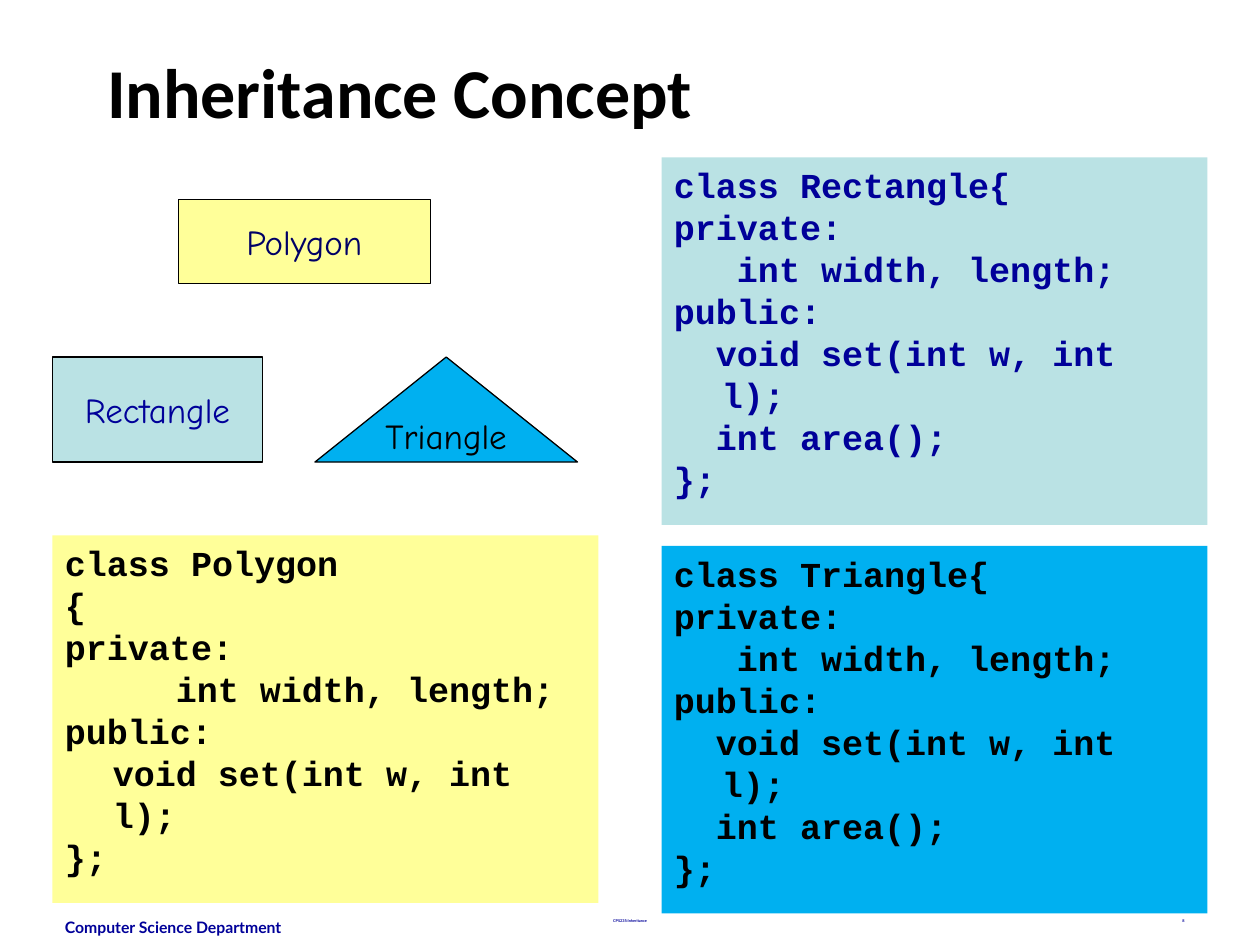
"""Build the Inheritance Concept slide on a grid of 120 columns by 90 rows."""
from dataclasses import dataclass

from pptx import Presentation
from pptx.dml.color import RGBColor
from pptx.enum.shapes import MSO_SHAPE
from pptx.enum.text import MSO_ANCHOR, MSO_AUTO_SIZE, PP_ALIGN
from pptx.util import Inches, Pt

RECTANGLE, TRIANGLE = MSO_SHAPE.RECTANGLE, MSO_SHAPE.ISOSCELES_TRIANGLE
TOP, MIDDLE = MSO_ANCHOR.TOP, MSO_ANCHOR.MIDDLE
LEFT, CENTER, RIGHT = PP_ALIGN.LEFT, PP_ALIGN.CENTER, PP_ALIGN.RIGHT
NO_AUTOFIT = MSO_AUTO_SIZE.NONE

COLUMNS, ROWS = 120, 90
WIDTH, HEIGHT = Inches(10), Inches(7.5)
TITLE_ONLY = 5
HANGING = Inches(0.38)
COLORS = {
    "black": "000000", "blue": "000099", "navy": "000066",
    "yellow": "FFFF99", "teal": "BAE2E4", "sky": "00B0F0",
}


@dataclass(frozen=True)
class Area:
    column: float
    row: float
    columns: float
    rows: float


@dataclass(frozen=True)
class Style:
    font: str
    size: float
    color: str
    bold: bool = True
    align: PP_ALIGN = LEFT
    spacing: float = 1.0


@dataclass(frozen=True)
class Figure:
    name: str
    kind: MSO_SHAPE
    area: Area
    fill: str
    color: str


@dataclass(frozen=True)
class Listing:
    area: Area
    fill: str
    color: str
    lines: tuple[str, ...]


@dataclass(frozen=True)
class Footer:
    text: str
    area: Area
    style: Style


def class_lines(name: str) -> tuple[str, ...]:
    """Return the code of a derived shape class."""
    return (f"class {name}{{", "private:", "   int width, length;", "public:",
            "  void set(int w, int l);", "  int area();", "};")


POLYGON_LINES = ("class Polygon", "{", "private:", "\t   int width, length;",
                 "public:", "\tvoid set(int w, int l);", "};")
TITLE_AREA = Area(9, 4, 102, 9)
TITLE_STYLE = Style("Calibri", 40, "black")
FIGURES = (
    Figure("Rectangle", RECTANGLE, Area(5, 34, 20, 10), "teal", "blue"),
    Figure("Triangle", TRIANGLE, Area(30, 34, 25, 10), "sky", "black"),
    Figure("Polygon", RECTANGLE, Area(17, 19, 24, 8), "yellow", "navy"),
)
LISTINGS = (
    Listing(Area(5, 51, 52, 35), "yellow", "black", POLYGON_LINES),
    Listing(Area(63, 15, 52, 35), "teal", "blue", class_lines("Rectangle")),
    Listing(Area(63, 52, 52, 35), "sky", "black", class_lines("Triangle")),
)
FOOTERS = (
    Footer("Computer Science Department", Area(5, 86.8, 28, 3.2),
           Style("Lato", 9, "blue")),
    Footer("CPS235:Inheritance", Area(41, 87, 38, 1.2),
           Style("Lato", 2.2, "blue", align=CENTER, spacing=0.8)),
    Footer("8", Area(86, 87, 28, 1.2),
           Style("Lato", 2.2, "blue", align=RIGHT, spacing=0.8)),
)


def rgb(name: str) -> RGBColor:
    """Return a named colour."""
    return RGBColor.from_string(COLORS[name])


def place(area: Area) -> tuple[int, int, int, int]:
    """Turn a grid area into left, top, width and height."""
    return (int(WIDTH * area.column / COLUMNS), int(HEIGHT * area.row / ROWS),
            int(WIDTH * area.columns / COLUMNS), int(HEIGHT * area.rows / ROWS))


def write(shape, lines: tuple[str, ...], style: Style, anchor: MSO_ANCHOR = TOP,
          wrap: bool = True, hanging: int = 0) -> None:
    """Write one paragraph for each line."""
    frame = shape.text_frame
    frame.auto_size = NO_AUTOFIT
    frame.word_wrap = wrap
    frame.vertical_anchor = anchor
    for index, line in enumerate(lines):
        para = frame.add_paragraph() if index else frame.paragraphs[0]
        para.alignment = style.align
        para.line_spacing = style.spacing
        if hanging:
            properties = para._p.get_or_add_pPr()
            properties.set("marL", str(hanging))
            properties.set("indent", str(-hanging))
        span = para.add_run()
        span.text = line
        span.font.name = style.font
        span.font.size = Pt(style.size)
        span.font.bold = style.bold
        span.font.color.rgb = rgb(style.color)


def add_filled(page, kind: MSO_SHAPE, area: Area, fill: str):
    """Add a flat filled shape without an outline."""
    shape = page.shapes.add_shape(kind, *place(area))
    shape.shadow.inherit = False
    shape.fill.solid()
    shape.fill.fore_color.rgb = rgb(fill)
    shape.line.fill.background()
    return shape


def draw_title(page, text: str) -> None:
    """Move and fill the title placeholder."""
    title = page.shapes.title
    title.left, title.top, title.width, title.height = place(TITLE_AREA)
    write(title, (text,), TITLE_STYLE)


def draw_figure(page, figure: Figure) -> None:
    """Draw an outlined figure with its name."""
    shape = add_filled(page, figure.kind, figure.area, figure.fill)
    shape.line.color.rgb = rgb("black")
    shape.line.width = Pt(0.75)
    style = Style("Comic Neue", 20, figure.color, bold=False, align=CENTER)
    write(shape, (figure.name,), style, MIDDLE, wrap=False)


def draw_listing(page, listing: Listing) -> None:
    """Draw a code panel."""
    shape = add_filled(page, RECTANGLE, listing.area, listing.fill)
    style = Style("Courier New", 20, listing.color)
    write(shape, listing.lines, style, hanging=HANGING)


def draw_footer(page, footer: Footer) -> None:
    """Draw a line of footer text."""
    box = page.shapes.add_textbox(*place(footer.area))
    write(box, (footer.text,), footer.style)


def main() -> None:
    """Build and save the deck."""
    deck = Presentation()
    deck.slide_width, deck.slide_height = WIDTH, HEIGHT
    page = deck.slides.add_slide(deck.slide_layouts[TITLE_ONLY])
    for footer in FOOTERS:
        draw_footer(page, footer)
    draw_title(page, "Inheritance Concept")
    for figure in FIGURES:
        draw_figure(page, figure)
    for listing in LISTINGS:
        draw_listing(page, listing)
    deck.save("out.pptx")


if __name__ == "__main__":
    main()
